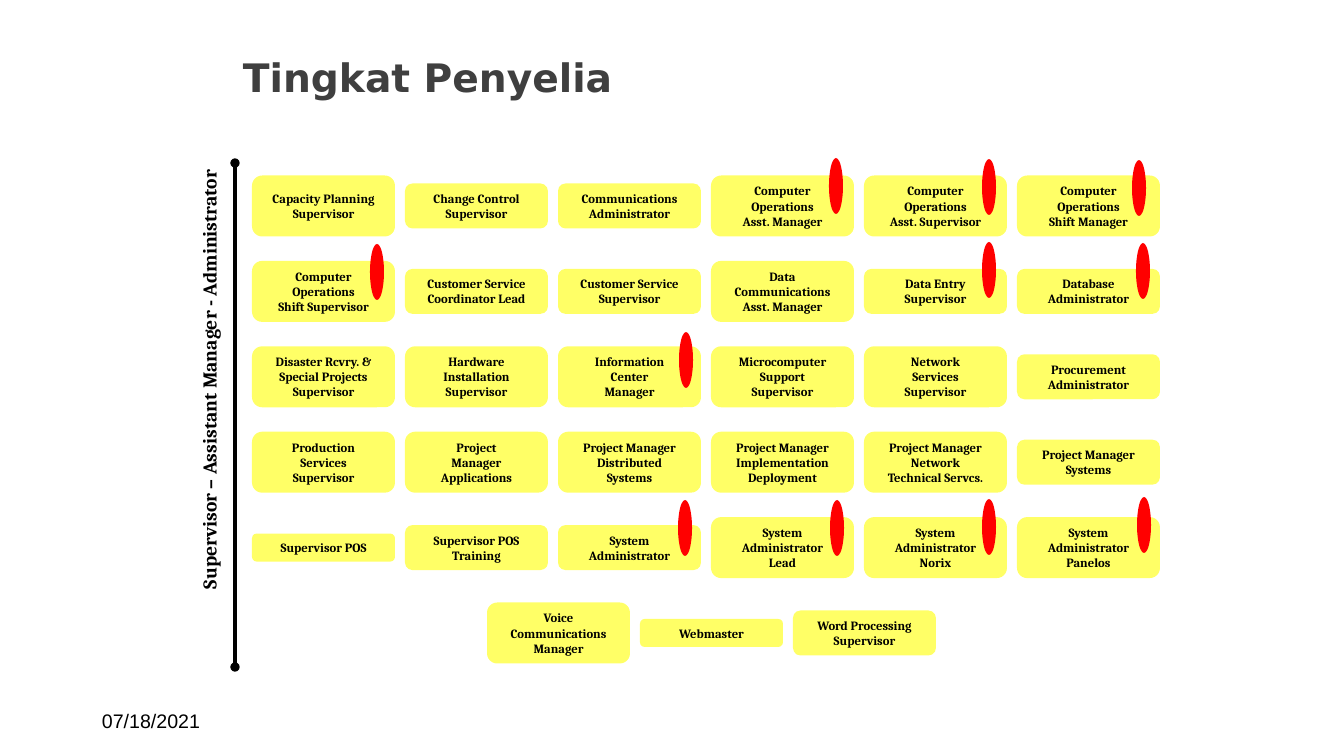
from typing import Any, NamedTuple

from lxml import etree
from pptx import Presentation
from pptx.dml.color import RGBColor
from pptx.enum.shapes import MSO_CONNECTOR, MSO_SHAPE
from pptx.enum.text import MSO_ANCHOR, MSO_AUTO_SIZE, PP_ALIGN
from pptx.oxml.ns import qn
from pptx.util import Emu, Pt

ROUNDED = MSO_SHAPE.ROUNDED_RECTANGLE
OVAL = MSO_SHAPE.OVAL
STRAIGHT = MSO_CONNECTOR.STRAIGHT
TOP, MIDDLE = MSO_ANCHOR.TOP, MSO_ANCHOR.MIDDLE
FIT_SHAPE, FIXED = MSO_AUTO_SIZE.SHAPE_TO_FIT_TEXT, MSO_AUTO_SIZE.NONE
LEFT, CENTER, RIGHT = PP_ALIGN.LEFT, PP_ALIGN.CENTER, PP_ALIGN.RIGHT

COLORS = {"title": "3F3F3F", "text": "000000", "job": "FFFF66", "marker": "FF0000"}
EMU_PER_PIXEL = 12192000 / 1344
GRID_LEFT, COLUMN_PITCH, JOB_WIDTH = 252, 153, 143
FIRST_CENTER, LAST_CENTER = 206, 633
JOB_HEIGHTS = {1: 28, 2: 45, 3: 61}
MARKER_WIDTH, MARKER_HEIGHT = 14, 56


class TextStyle(NamedTuple):
    frame: dict[str, Any]
    paragraph: dict[str, Any]
    font: dict[str, Any]
    color: str


class Job(NamedTuple):
    text: str
    height_lines: int = 0


class JobRow(NamedTuple):
    jobs: list[Job]
    left: int = GRID_LEFT


class Marker(NamedTuple):
    left: int
    top: int


def pixels(value: float) -> Emu:
    return Emu(round(value * EMU_PER_PIXEL))


def box(left: float, top: float, width: float, height: float) -> tuple[Emu, ...]:
    return pixels(left), pixels(top), pixels(width), pixels(height)


TITLE_STYLE = TextStyle(
    {"word_wrap": True, "auto_size": FIT_SHAPE, "vertical_anchor": MIDDLE,
     "margin_left": pixels(7), "margin_right": pixels(7),
     "margin_top": pixels(4), "margin_bottom": pixels(4)},
    {"alignment": LEFT, "line_spacing": 0.9},
    {"name": "DejaVu Sans", "size": Pt(28), "bold": True}, "title")
DATE_STYLE = TextStyle(
    {"word_wrap": True, "auto_size": FIXED, "vertical_anchor": MIDDLE},
    {"alignment": LEFT}, {"name": "Arial", "size": Pt(14)}, "text")
LEVEL_STYLE = TextStyle(
    {"word_wrap": True, "auto_size": FIT_SHAPE, "vertical_anchor": TOP},
    {"alignment": RIGHT}, {"name": "Cambria", "size": Pt(14), "bold": True}, "text")
JOB_STYLE = TextStyle(
    {"word_wrap": True, "auto_size": FIT_SHAPE, "vertical_anchor": MIDDLE},
    {"alignment": CENTER}, {"name": "Cambria", "size": Pt(9), "bold": True}, "text")

JOB_ROWS = [
    JobRow([Job("Capacity Planning\nSupervisor", 3),
            Job("Change Control\nSupervisor"),
            Job("Communications\nAdministrator"),
            Job("Computer\nOperations\nAsst. Manager"),
            Job("Computer\nOperations\nAsst. Supervisor"),
            Job("Computer\nOperations\nShift Manager")]),
    JobRow([Job("Computer\nOperations\nShift Supervisor"),
            Job("Customer Service\nCoordinator Lead"),
            Job("Customer Service\nSupervisor"),
            Job("Data\nCommunications\nAsst. Manager"),
            Job("Data Entry\nSupervisor"),
            Job("Database\nAdministrator")]),
    JobRow([Job("Disaster Rcvry. &\nSpecial Projects\nSupervisor"),
            Job("Hardware\nInstallation\nSupervisor"),
            Job("Information\nCenter\nManager"),
            Job("Microcomputer\nSupport\nSupervisor"),
            Job("Network\nServices\nSupervisor"),
            Job("Procurement\nAdministrator")]),
    JobRow([Job("Production\nServices\nSupervisor"),
            Job("Project\nManager\nApplications"),
            Job("Project Manager\nDistributed\nSystems"),
            Job("Project Manager\nImplementation\nDeployment"),
            Job("Project Manager\nNetwork\nTechnical Servcs."),
            Job("Project Manager\nSystems")]),
    JobRow([Job("Supervisor POS"),
            Job("Supervisor POS\nTraining"),
            Job("System\nAdministrator"),
            Job("System\nAdministrator\nLead"),
            Job("System\nAdministrator\nNorix"),
            Job("System\nAdministrator\nPanelos")]),
    JobRow([Job("Voice\nCommunications\nManager"),
            Job("Webmaster"),
            Job("Word Processing\nSupervisor")], left=487),
]

MARKERS = [
    Marker(829, 158), Marker(982, 159), Marker(1132, 160),
    Marker(370, 244), Marker(982, 242), Marker(1136, 243),
    Marker(679, 332),
    Marker(678, 500), Marker(830, 500), Marker(982, 499), Marker(1137, 497),
]


def apply_format(target: Any, values: dict[str, Any]) -> None:
    for name, value in values.items():
        setattr(target, name, value)


def write_text(shape: Any, text: str, style: TextStyle) -> None:
    frame = shape.text_frame
    frame.text = text
    apply_format(frame, style.frame)
    for paragraph in frame.paragraphs:
        apply_format(paragraph, style.paragraph)
        for run in paragraph.runs:
            apply_format(run.font, style.font)
            run.font.color.rgb = RGBColor.from_string(COLORS[style.color])


def add_filled(shapes: Any, kind: Any, bounds: tuple[Emu, ...], color: str) -> Any:
    shape = shapes.add_shape(kind, *bounds)
    shape.shadow.inherit = False
    shape.fill.solid()
    shape.fill.fore_color.rgb = RGBColor.from_string(COLORS[color])
    shape.line.fill.background()
    return shape


def add_job_row(slide: Any, row: JobRow, center: float) -> None:
    group = slide.shapes.add_group_shape()
    for column, job in enumerate(row.jobs):
        lines = job.height_lines or len(job.text.split("\n"))
        height = JOB_HEIGHTS[lines]
        bounds = box(row.left + column * COLUMN_PITCH, center - height / 2, JOB_WIDTH, height)
        write_text(add_filled(group.shapes, ROUNDED, bounds, "job"), job.text, JOB_STYLE)


def add_level_line(slide: Any) -> None:
    connector = slide.shapes.add_connector(STRAIGHT, *box(235, 163, 235, 667))
    connector.line.width = Pt(2.25)
    connector.line.color.rgb = RGBColor.from_string(COLORS["text"])
    properties = connector._element.spPr
    line = properties.find(qn("a:ln"))
    for end in ("a:headEnd", "a:tailEnd"):
        etree.SubElement(line, qn(end), type="oval")
    etree.SubElement(properties, qn("a:effectLst"))


presentation = Presentation()
presentation.slide_width, presentation.slide_height = pixels(1344), pixels(756)
slide = presentation.slides.add_slide(presentation.slide_layouts[5])

title = slide.shapes.title
title.left, title.top, title.width, title.height = box(236, 55, 899, 50)
write_text(title, "Tingkat Penyelia", TITLE_STYLE)

date = slide.shapes.add_textbox(*box(92, 701, 302, 40))
write_text(date, "07/18/2021", DATE_STYLE)

row_pitch = (LAST_CENTER - FIRST_CENTER) / (len(JOB_ROWS) - 1)
for index, job_row in enumerate(JOB_ROWS):
    add_job_row(slide, job_row, FIRST_CENTER + index * row_pitch)

add_level_line(slide)
level = slide.shapes.add_textbox(*box(-46, 398, 509, 33))
level.rotation = 270
write_text(level, "Supervisor – Assistant Manager - Administrator", LEVEL_STYLE)

for marker in MARKERS:
    add_filled(slide.shapes, OVAL, box(*marker, MARKER_WIDTH, MARKER_HEIGHT), "marker")

presentation.save("out.pptx")
